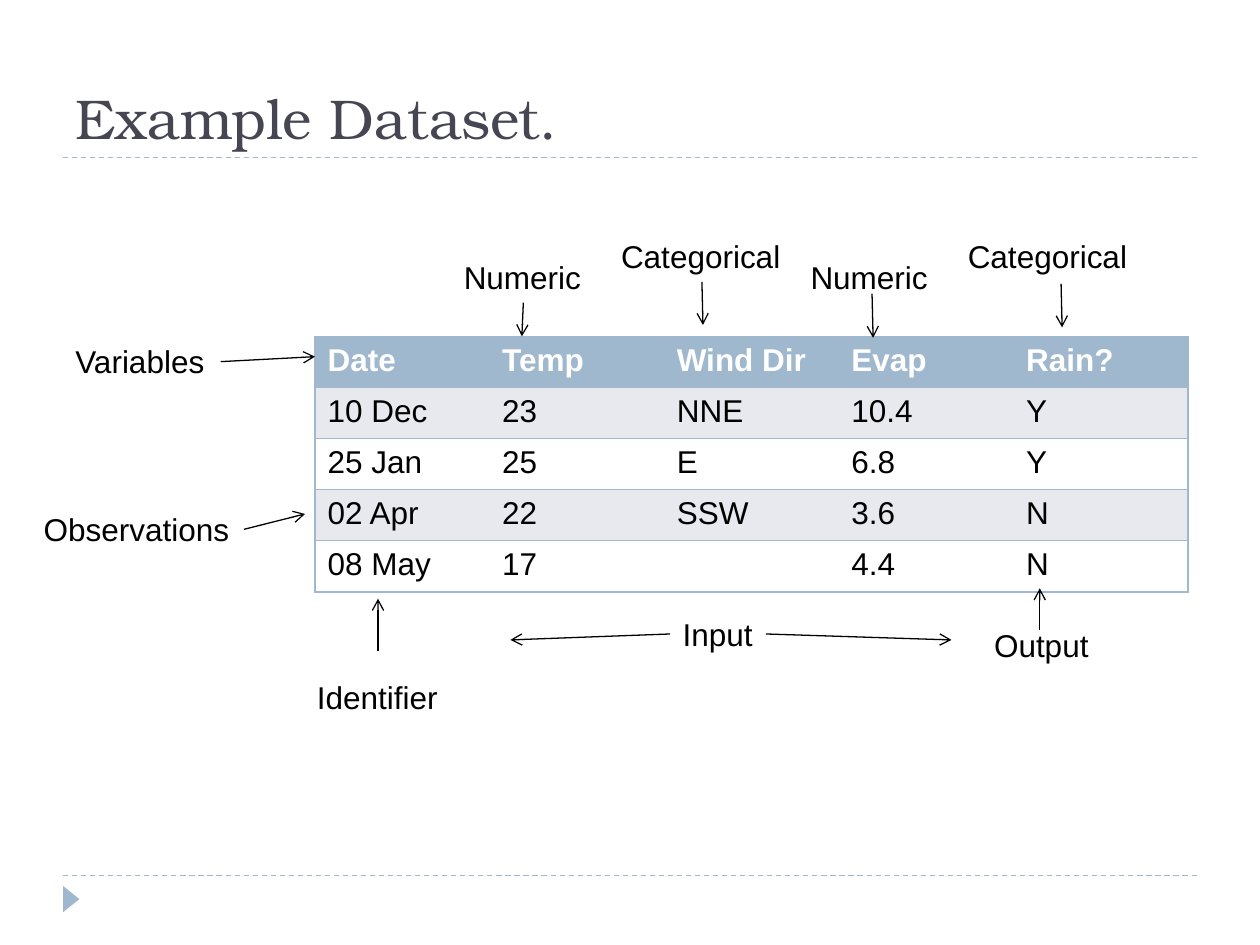
from dataclasses import dataclass

from lxml import etree
from pptx import Presentation
from pptx.dml.color import RGBColor
from pptx.enum import dml, shapes, text
from pptx.oxml import ns
from pptx.util import Cm, Pt

BLUE = RGBColor(0x9F, 0xB8, 0xCD)
BAND = RGBColor(0xE8, 0xE8, 0xEF)
WHITE = RGBColor(0xFF, 0xFF, 0xFF)
BLACK = RGBColor(0, 0, 0)
SLATE = RGBColor(0x46, 0x46, 0x53)

TOP, LEFT, BOTTOM, RIGHT = range(4)
LABEL_HEIGHT = 1.02
COLUMN_WIDTH, ROW_HEIGHT = 3.52, 1.03

OBSERVATIONS = [
    ["Date", "Temp", "Wind Dir", "Evap", "Rain?"],
    ["10 Dec", "23", "NNE", "10.4", "Y"],
    ["25 Jan", "25", "E", "6.8", "Y"],
    ["02 Apr", "22", "SSW", "3.6", "N"],
    ["08 May", "17", "", "4.4", "N"],
]


@dataclass(frozen=True)
class Arrow:
    start: tuple[float, float]
    tip: tuple[float, float]
    side: int | None = None


@dataclass(frozen=True)
class Label:
    wording: str
    left: float
    top: float
    width: float
    arrows: tuple[Arrow, ...]


LABELS = [
    Label("Variables", 1.27, 6.78, 3.18, (Arrow((4.45, 7.29), (6.35, 7.19), RIGHT),)),
    Label("Observations", 0.63, 10.16, 4.29, (Arrow((4.92, 10.67), (6.15, 10.36), RIGHT),)),
    Label("Identifier", 6.14, 13.54, 2.97, (Arrow((7.62, 13.13), (7.62, 12.07)),)),
    Label("Numeric", 9.1, 5.08, 2.9, (Arrow((10.55, 6.1), (10.52, 6.78), BOTTOM),)),
    Label("Numeric", 16.09, 5.08, 2.9, (Arrow((17.58, 5.92), (17.6, 6.81)),)),
    Label("Categorical", 12.27, 4.66, 3.76, (Arrow((14.15, 5.68), (14.17, 6.55), BOTTOM),)),
    Label("Categorical", 19.26, 4.66, 3.76, (Arrow((21.39, 5.72), (21.41, 6.6)),)),
    Label("Input", 13.51, 12.27, 1.93, (
        Arrow((13.51, 12.78), (10.29, 12.9), LEFT),
        Arrow((15.44, 12.78), (19.18, 12.9), RIGHT),
    )),
    Label("Output", 19.79, 12.5, 2.44, (Arrow((20.96, 12.7), (20.96, 11.86)),)),
]


def format_runs(frame, size: float, color: RGBColor, font="Arial", bold=False) -> None:
    for paragraph in frame.paragraphs:
        for run in paragraph.runs:
            run.font.name = font
            run.font.size = Pt(size)
            run.font.bold = bold
            run.font.color.rgb = color


def draw_line(slide, start: tuple[float, float], end: tuple[float, float], color: RGBColor):
    line = slide.shapes.add_connector(
        shapes.MSO_CONNECTOR.STRAIGHT, *map(Cm, start), *map(Cm, end))
    line.line.color.rgb = color
    line.line.width = Pt(0.75)
    etree.SubElement(line._element.spPr, ns.qn("a:effectLst"))
    return line


def draw_arrow(slide, arrow: Arrow, label_box) -> None:
    line = draw_line(slide, arrow.start, arrow.tip, BLACK)
    etree.SubElement(line.line._get_or_add_ln(), ns.qn("a:tailEnd"), type="arrow")
    if arrow.side is not None:
        line.begin_connect(label_box, arrow.side)


def draw_label(slide, label: Label) -> None:
    box = slide.shapes.add_textbox(
        Cm(label.left), Cm(label.top), Cm(label.width), Cm(LABEL_HEIGHT))
    box.text_frame.text = label.wording
    box.text_frame.word_wrap = False
    box.text_frame.auto_size = text.MSO_AUTO_SIZE.SHAPE_TO_FIT_TEXT
    format_runs(box.text_frame, 18, BLACK)
    for arrow in label.arrows:
        draw_arrow(slide, arrow, box)


def set_borders(cell, visible: dict[str, bool]) -> None:
    properties = cell._tc.get_or_add_tcPr()
    for position, (edge, shown) in enumerate(visible.items()):
        border = etree.Element(ns.qn(f"a:ln{edge}"), w=str(Pt(1)))
        if shown:
            fill = etree.SubElement(border, ns.qn("a:solidFill"))
            etree.SubElement(fill, ns.qn("a:srgbClr"), val=str(BLUE))
        else:
            etree.SubElement(border, ns.qn("a:noFill"))
        properties.insert(position, border)


def draw_dataset(slide, rows: list[list[str]]) -> None:
    column_count = len(rows[0])
    dataset = slide.shapes.add_table(
        len(rows), column_count, Cm(6.35), Cm(6.78),
        Cm(COLUMN_WIDTH * column_count), Cm(ROW_HEIGHT * len(rows))).table
    for r, row in enumerate(rows):
        dataset.rows[r].height = Cm(ROW_HEIGHT)
        header = r == 0
        background = BLUE if header else BAND if r % 2 else WHITE
        for c, value in enumerate(row):
            cell = dataset.cell(r, c)
            cell.text_frame.text = value
            format_runs(cell.text_frame, 18, WHITE if header else BLACK, bold=header)
            cell.fill.solid()
            cell.fill.fore_color.rgb = background
            set_borders(cell, {"L": c == 0, "R": c == column_count - 1, "T": True, "B": True})


def draw_frame(slide) -> None:
    for height in (17.65, 3.17):
        rule = draw_line(slide, (1.27, height), (24.13, height), BLUE)
        rule.line.dash_style = dml.MSO_LINE.DASH
    marker = slide.shapes.add_shape(
        shapes.MSO_SHAPE.ISOSCELES_TRIANGLE, Cm(1.17), Cm(17.96), Cm(0.53), Cm(0.33))
    marker.rotation = 90
    marker.shadow.inherit = False
    marker.fill.solid()
    marker.fill.fore_color.rgb = BLUE
    marker.line.fill.background()


def draw_title(slide, wording: str) -> None:
    title = slide.shapes.add_textbox(Cm(1.27), Cm(0.43), Cm(22.86), Cm(2.74))
    title.text_frame.text = wording
    title.text_frame.word_wrap = True
    title.text_frame.vertical_anchor = text.MSO_ANCHOR.BOTTOM
    format_runs(title.text_frame, 32, SLATE, "TeX Gyre Bonum")


def main() -> None:
    deck = Presentation()
    deck.slide_width, deck.slide_height = Cm(25.4), Cm(19.05)
    slide = deck.slides.add_slide(deck.slide_layouts[6])
    draw_frame(slide)
    draw_title(slide, "Example Dataset.")
    draw_dataset(slide, OBSERVATIONS)
    for label in LABELS:
        draw_label(slide, label)
    deck.save("out.pptx")


if __name__ == "__main__":
    main()
